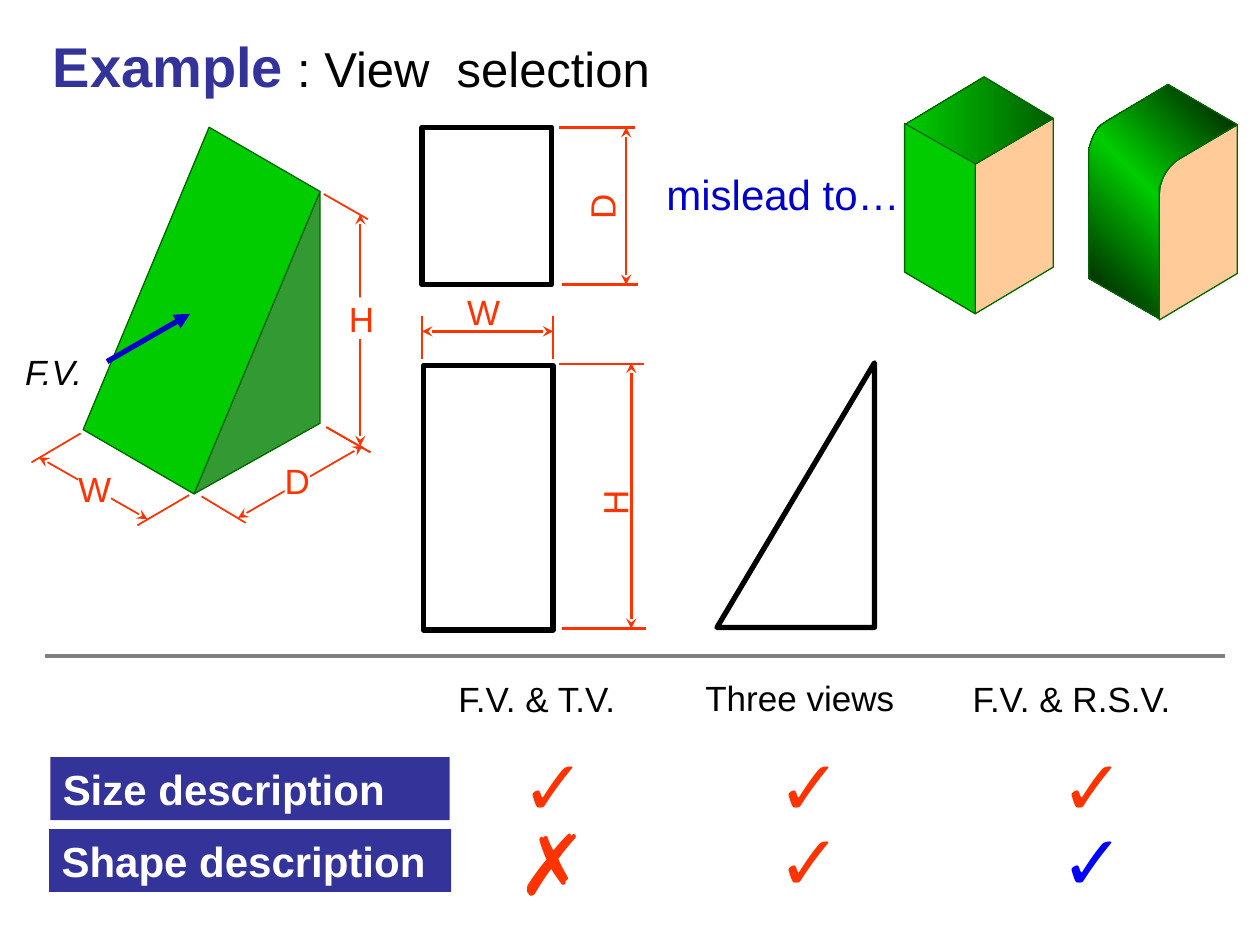
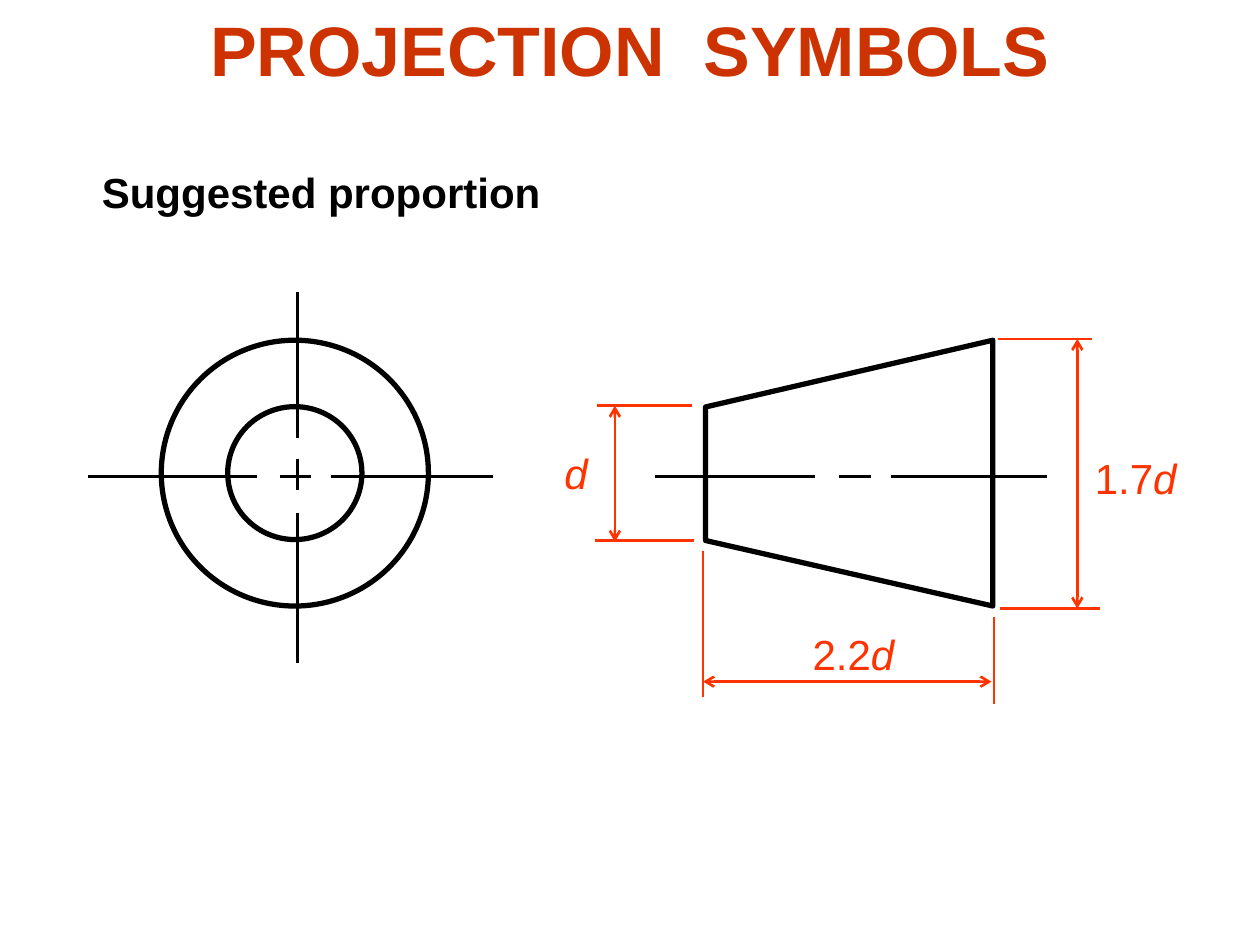
from lxml import etree
from pptx import Presentation
from pptx.dml.color import RGBColor
from pptx.enum.shapes import MSO_CONNECTOR, MSO_SHAPE
from pptx.enum.text import MSO_ANCHOR, MSO_AUTO_SIZE, PP_ALIGN
from pptx.oxml.ns import qn
from pptx.util import Pt

PX = 9144  # 100 px to the inch
FONT = "Arial"
LINE = MSO_CONNECTOR.STRAIGHT
RECT, DONUT = MSO_SHAPE.RECTANGLE, MSO_SHAPE.DONUT
LEFT, MID = PP_ALIGN.LEFT, PP_ALIGN.CENTER
TOP, FIXED = MSO_ANCHOR.TOP, MSO_AUTO_SIZE.NONE

HEX = {
    "black": "000000", "white": "FFFFFF", "navy": "333399", "rust": "CC3300",
    "red": "FF3300", "blue": "0000CC", "tick": "0000FF", "gray": "808080",
    "skin": "FFCC99", "green": "00CC00", "shade": "339933", "edge": "006600",
    "moss": "005E00", "dark": "000C00",
}


def rgb(name):
    return RGBColor.from_string(HEX[name])


def emu(*nums):
    return [n * PX for n in nums]


# Text: each run is (words, size, colour, style), style holding "b" or "i"
def write(shape, runs, align=LEFT, wrap=False, inset=True):
    frame = shape.text_frame
    frame.word_wrap = wrap
    frame.auto_size = FIXED
    frame.vertical_anchor = TOP
    side, edge = emu(10, 5) if inset else (0, 0)
    frame.margin_left = frame.margin_right = side
    frame.margin_top = frame.margin_bottom = edge
    para = frame.paragraphs[0]
    para.alignment = align
    for words, size, color, style in runs:
        run = para.add_run()
        run.text = words
        font = run.font
        font.name, font.size = FONT, Pt(size)
        font.color.rgb = rgb(color)
        font.bold, font.italic = "b" in style, "i" in style


def title(slide, at, runs, align):
    shape = slide.shapes.title
    shape.left, shape.top, shape.width, shape.height = emu(*at)
    write(shape, runs, align, wrap=align == MID)


def label(slide, at, *runs, turn=0):
    shape = slide.shapes.add_textbox(*emu(*at))
    shape.rotation = turn
    write(shape, runs)


def paint(shape, fill=None, line=None, width=0):
    shape.shadow.inherit = False
    if fill:
        shape.fill.solid()
        shape.fill.fore_color.rgb = rgb(fill)
    else:
        shape.fill.background()
    if line:
        shape.line.color.rgb = rgb(line)
        shape.line.width = Pt(width)
    else:
        shape.line.fill.background()


def plate(slide, at, fill, run, inset=True):
    shape = slide.shapes.add_shape(RECT, *emu(*at))
    paint(shape, fill)
    write(shape, [run], wrap=inset, inset=inset)


def frame(slide, kind, at):
    shape = slide.shapes.add_shape(kind, *emu(*at))
    paint(shape, None, "black", 3)
    return shape


def face(slide, points, fill=None, line="edge", width=0.75):
    pen = slide.shapes.build_freeform(*points[0], scale=PX)
    pen.add_line_segments(points[1:], close=True)
    shape = pen.convert_to_shape()
    paint(shape, fill, line, width)
    return shape


def blend(shape, colors, angle):
    fill = shape.fill
    fill.gradient()
    fill.gradient_angle = angle
    stops = shape._element.spPr.find(".//" + qn("a:gsLst"))
    for old in list(stops):
        stops.remove(old)
    for i, color in enumerate(colors):
        pos = str(100000 * i // (len(colors) - 1))
        stop = etree.SubElement(stops, qn("a:gs"), pos=pos)
        etree.SubElement(stop, qn("a:srgbClr"), val=HEX[color])


def line(slide, ends, color="black", width=1.5, head=None, tail=None):
    wire = slide.shapes.add_connector(LINE, *emu(*ends))
    wire.line.color.rgb = rgb(color)
    wire.line.width = Pt(width)
    props = wire._element.spPr
    for tag, tip in (("a:headEnd", head), ("a:tailEnd", tail)):
        if tip:
            etree.SubElement(props.find(qn("a:ln")), qn(tag), type=tip)
    etree.SubElement(props, qn("a:effectLst"))


def measure(slide, marks, span, width=1.5, tip="stealth"):
    """Two extension lines and a double-headed dimension line."""
    for mark in marks:
        line(slide, mark, "red", width)
    line(slide, span, "red", width, tip, tip)


def red(words, size=20, style=""):
    return words, size, "red", style


# Solids of the first slide
def wedge(slide):
    face(slide, [(254, 152), (154, 392), (254, 336)], "shade")
    face(slide, [(254, 152), (166, 101), (66, 341), (154, 392)], "green")
    line(slide, (85, 287, 151, 249), "blue", 3, tail="triangle")
    label(slide, (10, 273, 71, 44), ("F.V.", 20, "black", "i"))
    sides = [
        ("W", [(64, 344, 25, 367), (150, 393, 109, 417)],
         (31, 363, 117, 412), (62, 371, 26, 33)),
        ("D", [(160, 394, 195, 415), (259, 339, 294, 359)],
         (189, 411, 288, 354), (226, 365, 20, 33)),
        ("H", [(257, 154, 292, 174), (259, 339, 294, 359)],
         (286, 354, 286, 170), (277, 236, 20, 33)),
    ]
    for name, marks, span, at in sides:
        measure(slide, marks, span, 1)
        plate(slide, at, "white", red(name), inset=False)


def block(slide):
    face(slide, [(774, 249), (836, 212), (836, 94), (773, 130)], "skin")
    roof = face(slide, [(836, 94), (781, 61), (718, 99), (773, 131)])
    blend(roof, ["moss", "green"], 180)
    face(slide, [(718, 98), (718, 216), (774, 249), (774, 130)], "green")


def curve(slide):
    face(slide, [(982, 99), (938, 125), (933, 128), (929, 132), (926, 136),
                 (923, 141), (921, 147), (920, 155), (920, 254), (982, 217)],
         "skin")
    skin = face(slide, [
        (982, 99), (927, 67), (880, 95), (874, 99), (871, 102), (868, 107),
        (866, 112), (864, 118), (864, 123), (864, 221), (920, 253),
        (920, 154), (920, 149), (922, 144), (923, 141), (925, 137),
        (928, 133), (932, 129), (936, 126)])
    blend(skin, ["dark", "green", "dark"], 225)


# Flat views with their sizes
def views(slide):
    frame(slide, RECT, (336, 290, 103, 210))
    frame(slide, RECT, (335, 101, 103, 125))
    face(slide, [(694, 288), (694, 498), (569, 498)], None, "black", 3)
    sizes = [
        ("W", [(335, 285, 335, 251), (439, 285, 439, 251)],
         (335, 263, 439, 263), (361, 226, 46, 44), 0),
        ("H", [(444, 289, 511, 289), (446, 499, 513, 499)],
         (501, 288, 501, 499), (468, 377, 40, 44), 270),
        ("D", [(444, 101, 504, 101), (446, 226, 506, 226)],
         (497, 101, 497, 226), (458, 142, 40, 44), 270),
    ]
    for name, marks, span, at, turn in sizes:
        measure(slide, marks, span)
        label(slide, at, red(name), turn=turn)


# Comparison grid under the rule
def grid(slide):
    line(slide, (36, 521, 972, 521), "gray", 2.25)
    plate(slide, (40, 601, 317, 50), "navy",
          ("Size description", 24, "white", "b"))
    plate(slide, (39, 658, 319, 50), "navy",
          ("Shape description", 24, "white", "b"))
    heads = [("F.V. & T.V.", (354, 533, 156, 44)),
             ("Three views", (550, 532, 170, 44)),
             ("F.V. & R.S.V.", (762, 533, 185, 44))]
    for words, at in heads:
        label(slide, at, (words, 20, "black", ""))
    for x in (404, 607, 832):
        label(slide, (x, 581, 70, 84), red("✓", 44, "b"))
    label(slide, (401, 639, 65, 90), red("✗", 48, "b"))
    for x, color in ((607, "red"), (832, "tick")):
        label(slide, (x, 641, 70, 84), ("✓", 44, color, "b"))


def choice(slide):
    title(slide, (32, 20, 494, 64),
          [("Example", 32, "navy", "b"), (" ", 28, "black", "b"),
           (": View  selection", 28, "black", "")], LEFT)
    wedge(slide)
    views(slide)
    label(slide, (519, 129, 205, 50), ("mislead to…", 24, "blue", ""))
    block(slide)
    curve(slide)
    grid(slide)


def symbols(slide):
    title(slide, (0, 0, 1000, 77),
          [("PROJECTION  SYMBOLS", 40, "rust", "b")], MID)
    label(slide, (71, 127, 368, 50),
          ("Suggested proportion", 24, "black", "b"))

    # Round end and side of the cone
    ring = frame(slide, DONUT, (128, 270, 212, 211))
    ring.adjustments[0] = 0.25
    face(slide, [(788, 270), (788, 481), (560, 429), (560, 323)],
         None, "black", 3)

    # Centre lines
    for start, end in ((70, 204), (222, 247), (263, 391),
                       (520, 647), (666, 691), (707, 831)):
        line(slide, (start, 378, end, 378))
    for start, end in ((232, 348), (364, 389), (407, 526)):
        line(slide, (236, start, 236, end))

    # Proportions
    sizes = [
        ("", [(549, 322, 474, 322), (551, 429, 472, 429)],
         (488, 322, 488, 430), (438, 350, 38, 50)),
        ("1.7", [(867, 269, 792, 269), (873, 483, 794, 483)],
         (855, 269, 855, 483), (859, 354, 85, 50)),
        ("2.2", [(558, 437, 558, 553), (789, 490, 789, 559)],
         (558, 541, 787, 541), (635, 494, 85, 50)),
    ]
    for ratio, marks, span, at in sizes:
        measure(slide, marks, span, tip="arrow")
        runs = [red(ratio, 24)] if ratio else []
        label(slide, at, *runs, red("d", 24, "i"))


def main():
    deck = Presentation()
    deck.slide_width, deck.slide_height = emu(1000, 750)
    for draw in (choice, symbols):
        draw(deck.slides.add_slide(deck.slide_layouts[5]))
    deck.save("out.pptx")


if __name__ == "__main__":
    main()
